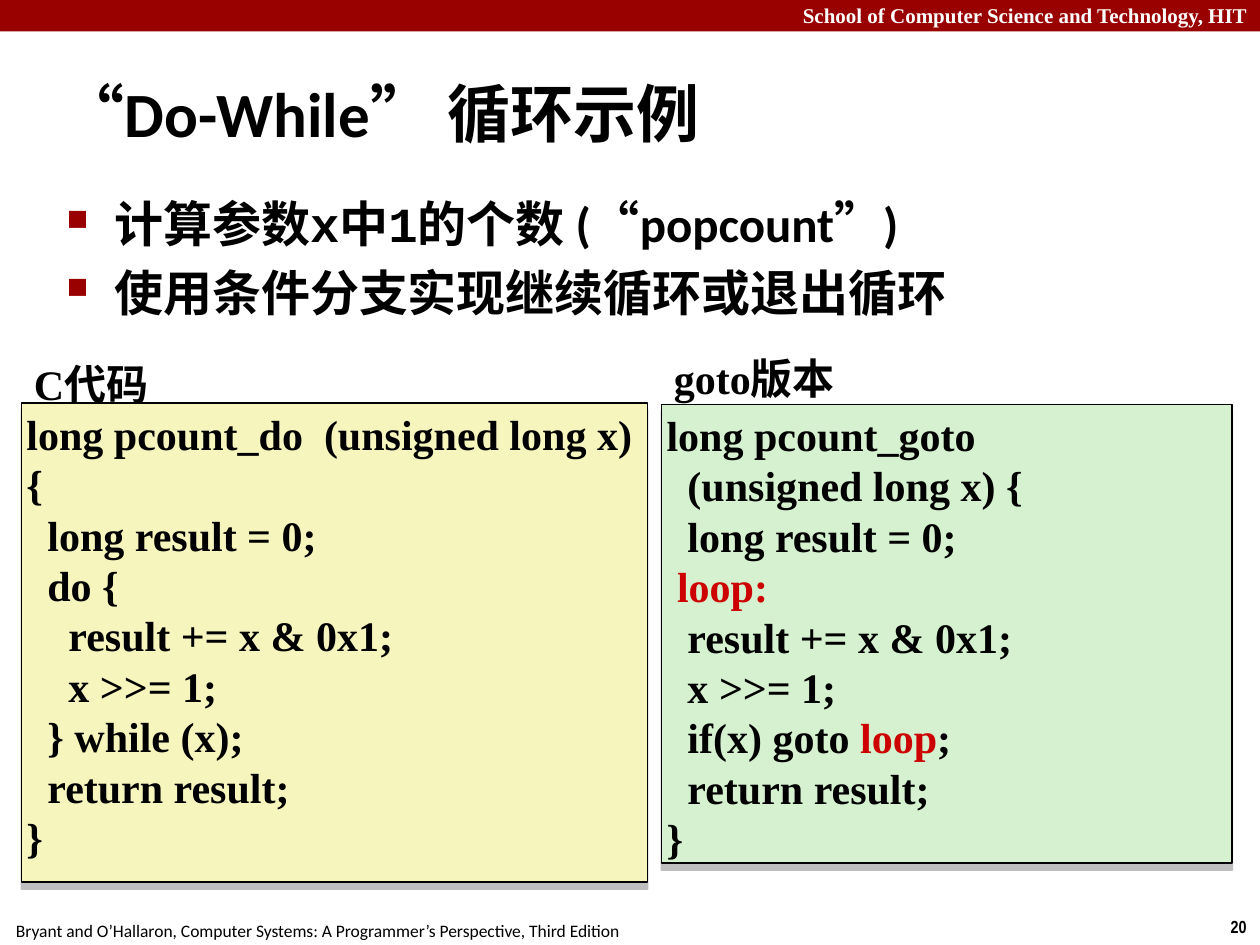
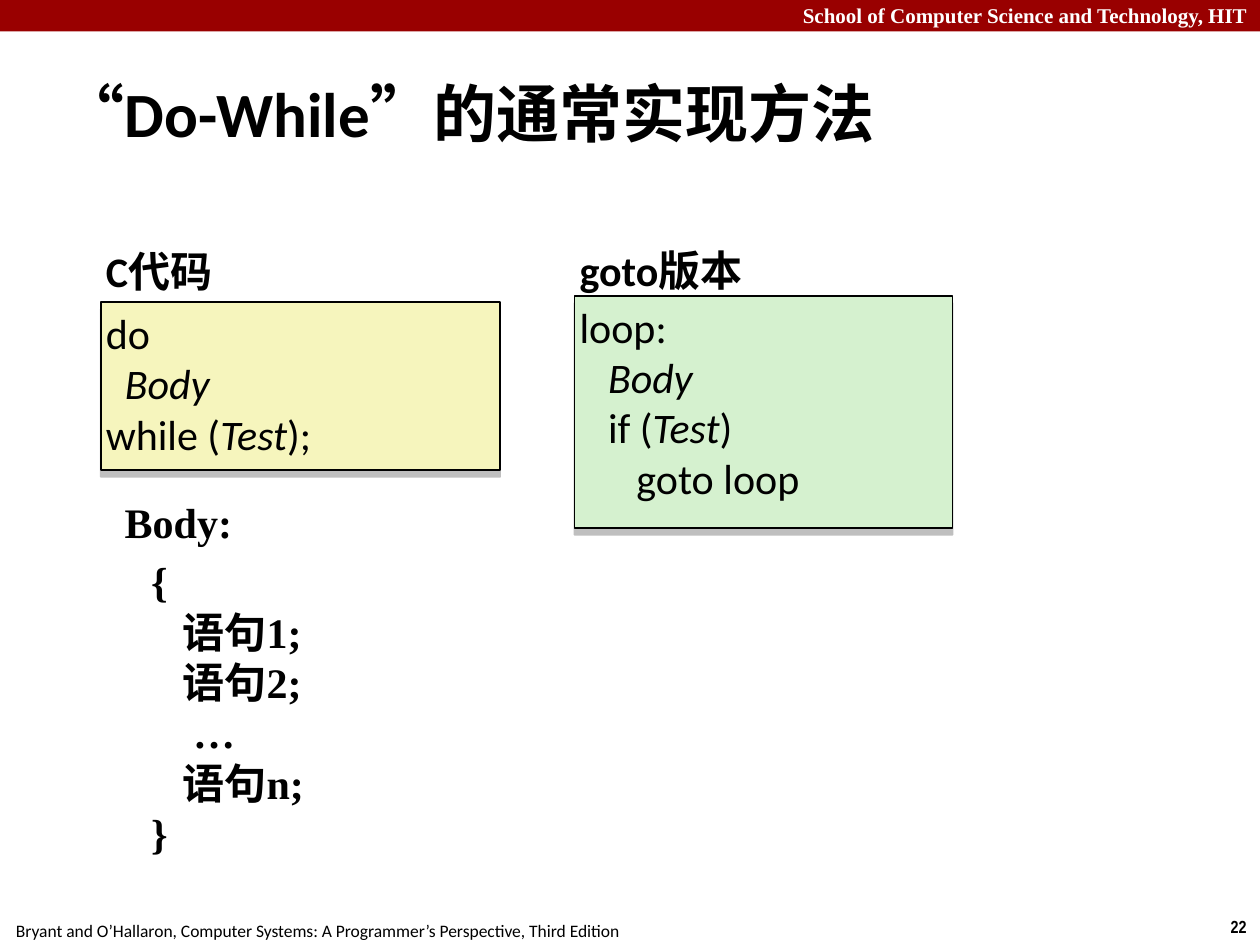
from pptx import Presentation
from pptx.dml.color import RGBColor as RGB
from pptx.enum.lang import MSO_LANGUAGE_ID as Lang
from pptx.enum.shapes import MSO_SHAPE as Shape
from pptx.enum.text import MSO_ANCHOR as Anchor, PP_ALIGN as Align
from pptx.oxml import parse_xml
from pptx.util import Inches, Pt

NS = 'xmlns:a="http://schemas.openxmlformats.org/drawingml/2006/main"'


class Theme:
    black, white, red, band = "000000", "FFFFFF", "CC0000", "990000"
    yellow, green, shade = "F6F5BD", "D5F1CF", "808080"
    serif, sans, mono, thin = "Times New Roman", "Calibri", "Courier New", "Arial Narrow"
    title, point, code, head, foot = 36, 28, 24, 12, 10


# Content: a line is (indent in spaces, run, run, ...); a run is text or (text, format)
WIDE, HIGH = 10, 7.5
SCHOOL = "School of Computer Science and Technology, HIT"
BOOK = "Bryant and O’Hallaron, Computer Systems: A Programmer’s Perspective, Third Edition"
RED, SLANT = {"color": Theme.red}, {"italic": True}
BOLD = {"font": Theme.serif, "bold": True}
PLAIN = {"font": Theme.sans}
SANS = {"font": Theme.sans, "bold": True}
TIGHT = 0.04

SLIDES = [
    {
        "page": 20,
        "title": "“Do-While” 循环示例",
        "points": [
            (0, "计算参数x中1的个数", (" (“popcount”)", {"font": Theme.sans})),
            (0, "使用条件分支实现继续循环或退出循环"),
        ],
        "panels": [
            {"name": "C代码", "at": (0.17, 3.2, 4.97, 3.8), "rise": 0.4,
             "fill": Theme.yellow, "style": BOLD, "label": BOLD, "inset": 0.1,
             "code": [
                 (0, "long pcount_do  (unsigned long x) {"),
                 (2, "long result = 0;"),
                 (2, "do {"),
                 (4, "result += x & 0x1;"),
                 (4, "x >>= 1;"),
                 (2, "} while (x);"),
                 (2, "return result;"),
                 (0, "}")]},
            {"name": "goto版本", "at": (5.25, 3.21, 4.53, 3.64), "rise": 0.46,
             "fill": Theme.green, "style": BOLD, "label": BOLD, "inset": 0.1,
             "code": [
                 (0, "long pcount_goto"),
                 (2, "(unsigned long x) {"),
                 (2, "long result = 0;"),
                 (1, ("loop:", RED)),
                 (2, "result += x & 0x1;"),
                 (2, "x >>= 1;"),
                 (2, "if(x) goto ", ("loop", RED), ";"),
                 (2, "return result;"),
                 (0, "}")]},
        ],
    },
    {
        "page": 22,
        "title": "“Do-While”的通常实现方法",
        "panels": [
            {"name": "C代码", "at": (0.8, 2.4, 3.17, 1.33), "rise": 0.49,
             "fill": Theme.yellow, "style": PLAIN, "label": SANS, "inset": TIGHT,
             "code": [
                 (0, "do"),
                 (2, ("Body", SLANT)),
                 (0, "while (", ("Test", SLANT), ");")]},
            {"name": "goto版本", "at": (4.56, 2.35, 3, 1.84), "rise": 0.45,
             "fill": Theme.green, "style": PLAIN, "label": SANS, "inset": TIGHT,
             "code": [
                 (0, "loop:"),
                 (3, ("Body", SLANT)),
                 (3, "if (", ("Test", SLANT), ")"),
                 (6, "goto loop")]},
        ],
        "body": [
            (0, "{"),
            (3, "语句1;"),
            (3, "语句2;"),
            (4, "…"),
            (3, "语句n;"),
            (0, "}"),
        ],
    },
]


def write(shape, lines, size, font=Theme.sans, color=Theme.black, bold=False,
          align=Align.LEFT, anchor=Anchor.TOP, inset=(0.1, 0.05), wrap=True,
          before=0, bullet=False):
    frame = shape.text_frame
    frame.word_wrap, frame.vertical_anchor = wrap, anchor
    frame.margin_left = frame.margin_right = Inches(inset[0])
    frame.margin_top = frame.margin_bottom = Inches(inset[1])
    # A space is about a quarter of the type size wide
    space = 0.25 if font == Theme.serif else 0.226
    for row, (depth, *runs) in enumerate([(0, lines)] if isinstance(lines, str) else lines):
        para = frame.paragraphs[0] if row == 0 else frame.add_paragraph()
        para.alignment, para.space_before = align, Pt(before)
        props = para._p.get_or_add_pPr()
        if depth:
            props.set("marL", str(Pt(depth * space * size)))
        if bullet:
            props.set("marL", str(Inches(0.38)))
            props.set("indent", str(-Inches(0.38)))
            for mark in (f'<a:buClr {NS}><a:srgbClr val="{Theme.band}"/></a:buClr>',
                         f'<a:buSzPct {NS} val="60000"/>',
                         f'<a:buChar {NS} char="■"/>'):
                props.append(parse_xml(mark))
        for part in runs:
            text, own = (part, {}) if isinstance(part, str) else part
            run = para.add_run()
            run.text = text
            face = run.font
            face.size, face.name = Pt(size), own.get("font", font)
            face.bold, face.italic = bold, own.get("italic", False)
            face.color.rgb = RGB.from_string(own.get("color", color))
            face.language_id = Lang.SIMPLIFIED_CHINESE


def label(slide, at, lines, size, **form):
    write(slide.shapes.add_textbox(*map(Inches, at)), lines, size, **form)


def block(slide, at, fill, edge=None, shade=False):
    box = slide.shapes.add_shape(Shape.RECTANGLE, *map(Inches, at))
    box.shadow.inherit = False
    box.fill.solid()
    box.fill.fore_color.rgb = RGB.from_string(fill)
    if edge:
        box.line.color.rgb, box.line.width = RGB.from_string(edge), Pt(1)
    else:
        box.line.fill.background()
    if shade:
        box._element.spPr.find("{*}effectLst").append(parse_xml(
            f'<a:outerShdw {NS} dist="{Pt(4)}" dir="5400000" algn="ctr" rotWithShape="0">'
            f'<a:srgbClr val="{Theme.shade}"><a:alpha val="50000"/></a:srgbClr>'
            '</a:outerShdw>'))
    return box


def frame(slide, page, title):
    # Band, footer and title shared by all slides
    block(slide, (0, 0, WIDE, 0.25), Theme.band)
    label(slide, (0, -0.03, WIDE, 0.3), SCHOOL, Theme.head, color=Theme.white,
          align=Align.RIGHT, **BOLD)
    label(slide, (9.66, 7.22, 0.34, 0.27), str(page), Theme.foot, font=Theme.thin,
          bold=True, align=Align.CENTER, wrap=False)
    label(slide, (-0.02, 7.25, 5.08, 0.27), BOOK, Theme.foot,
          align=Align.CENTER, wrap=False)
    label(slide, (0.39, 0.48, 9.61, 0.83), title, Theme.title, bold=True,
          anchor=Anchor.MIDDLE)


def panel(slide, name, at, rise, fill, style, label_style, inset, code):
    left, top, width, _ = at
    box = block(slide, at, fill, Theme.black, shade=True)
    write(box, code, Theme.code, inset=(TIGHT, TIGHT), **style)
    label(slide, (left, top - rise, width, 0.5), name, Theme.code,
          inset=(inset, min(inset, 0.05)), **label_style)


def main():
    deck = Presentation()
    deck.slide_width, deck.slide_height = Inches(WIDE), Inches(HIGH)
    for data in SLIDES:
        slide = deck.slides.add_slide(deck.slide_layouts[6])
        frame(slide, data["page"], data["title"])
        if "points" in data:
            label(slide, (0.43, 1.49, 9.4, 1.2), data["points"], Theme.point,
                  font=Theme.mono, bold=True, before=5.6, bullet=True)
        for item in data["panels"]:
            panel(slide, item["name"], item["at"], item["rise"], item["fill"],
                  item["style"], item["label"], item["inset"], item["code"])
        # Meaning of Body, under the C panel
        if "body" in data:
            label(slide, (0.95, 3.9, 2.86, 0.49), "Body:", Theme.code,
                  inset=(TIGHT, TIGHT), before=8.6, **BOLD)
            label(slide, (1.16, 4.37, 2.43, 2.47), data["body"], Theme.code,
                  inset=(TIGHT, TIGHT), **BOLD)
    deck.save("out.pptx")


if __name__ == "__main__":
    main()
